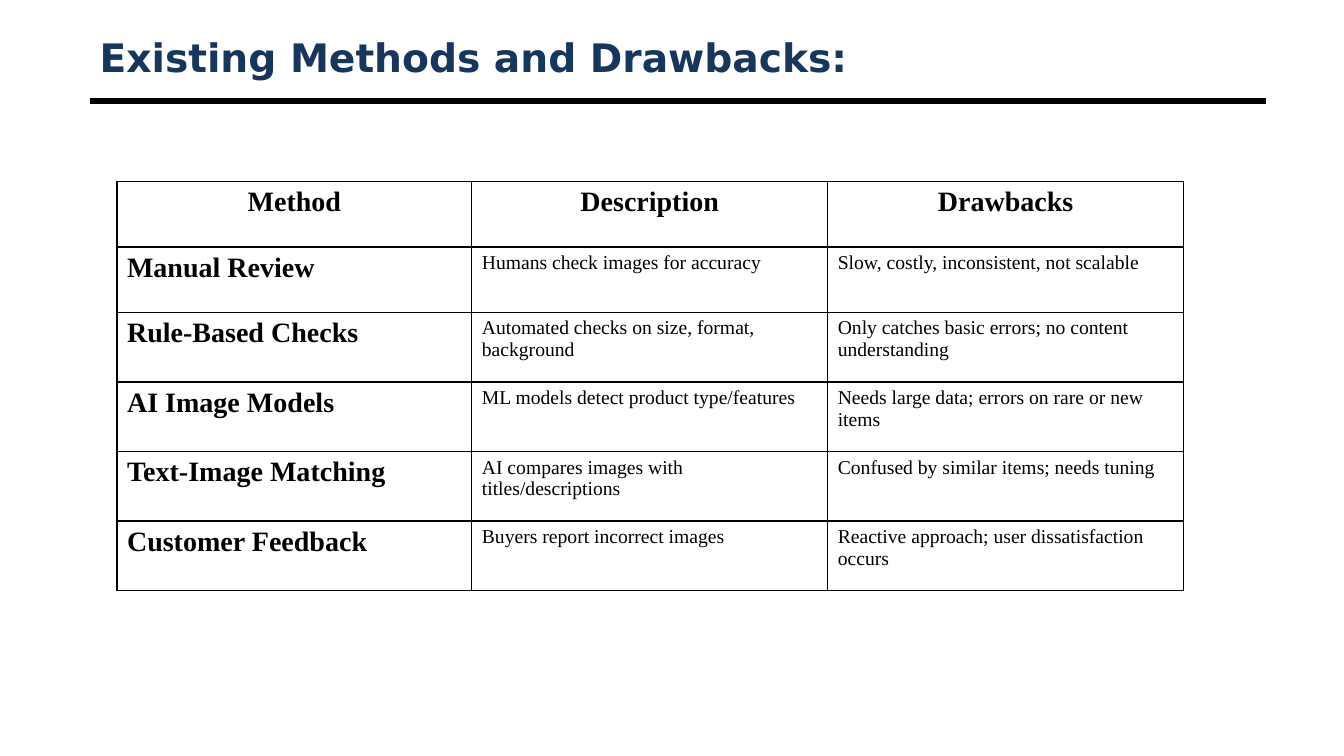
from lxml import etree
from pptx import Presentation
from pptx.dml.color import RGBColor
from pptx.enum.shapes import MSO_CONNECTOR
from pptx.enum.text import MSO_ANCHOR, PP_ALIGN
from pptx.oxml.ns import qn
from pptx.util import Inches, Pt

STRAIGHT = MSO_CONNECTOR.STRAIGHT
MIDDLE = MSO_ANCHOR.MIDDLE
LEFT, CENTER = PP_ALIGN.LEFT, PP_ALIGN.CENTER

BLACK = RGBColor(0x00, 0x00, 0x00)
NAVY = RGBColor(0x17, 0x36, 0x5D)

TITLE = {"name": "DejaVu Sans", "size": Pt(28), "bold": True, "color": NAVY}
HEADING = {"name": "Times New Roman", "size": Pt(20), "bold": True, "color": BLACK}
BODY = {**HEADING, "size": Pt(14), "bold": False}

METHODS = [
    ("Method", "Description", "Drawbacks"),
    ("Manual Review", "Humans check images for accuracy",
     "Slow, costly, inconsistent, not scalable"),
    ("Rule-Based Checks", "Automated checks on size, format, background",
     "Only catches basic errors; no content understanding"),
    ("AI Image Models", "ML models detect product type/features",
     "Needs large data; errors on rare or new items"),
    ("Text-Image Matching", "AI compares images with titles/descriptions",
     "Confused by similar items; needs tuning"),
    ("Customer Feedback", "Buyers report incorrect images",
     "Reactive approach; user dissatisfaction occurs"),
]
COL_WIDTHS = [3.52, 3.53, 3.53]
ROW_HEIGHTS = [0.65] * 2 + [0.69] * 4


class SlideBuilder:
    def __init__(self, slide):
        self.s = slide

    def add_text(self, tf, text, style, align=LEFT):
        p = tf.paragraphs[0]
        p.alignment = align
        r = p.add_run()
        r.text = text
        for key, value in style.items():
            if key == "color":
                r.font.color.rgb = value
            else:
                setattr(r.font, key, value)

    def title(self, text, left, top, width, height):
        sp = self.s.shapes.add_textbox(*map(Inches, (left, top, width, height)))
        tf = sp.text_frame
        tf.word_wrap = True
        tf.vertical_anchor = MIDDLE
        self.add_text(tf, text, TITLE)

    def rule(self, left, right, y, weight):
        """Draw a horizontal black line."""
        line = self.s.shapes.add_connector(
            STRAIGHT, Inches(left), Inches(y), Inches(right), Inches(y))
        line.line.color.rgb = BLACK
        line.line.width = Pt(weight)
        etree.SubElement(line._element.spPr, qn("a:effectLst"))

    def borders(self, cell, weight=1):
        tc_pr = cell._tc.get_or_add_tcPr()
        for side in ("L", "R", "T", "B"):
            ln = etree.SubElement(tc_pr, qn(f"a:ln{side}"), w=str(Pt(weight)))
            fill = etree.SubElement(ln, qn("a:solidFill"))
            etree.SubElement(fill, qn("a:srgbClr"), val=str(BLACK))

    def table(self, rows, left, top, widths, heights):
        """Draw a ruled table with a heading row and a heading column."""
        table = self.s.shapes.add_table(
            len(rows), len(widths), Inches(left), Inches(top),
            Inches(sum(widths)), Inches(sum(heights))).table
        table.first_row = table.horz_banding = False
        for column, width in zip(table.columns, widths):
            column.width = Inches(width)
        for i, (row, height) in enumerate(zip(rows, heights)):
            table.rows[i].height = Inches(height)
            for j, text in enumerate(row):
                cell = table.cell(i, j)
                self.borders(cell)
                cell.fill.background()
                style = HEADING if i == 0 or j == 0 else BODY
                self.add_text(cell.text_frame, text, style, CENTER if i == 0 else LEFT)


def main():
    prs = Presentation()
    prs.slide_width, prs.slide_height = Inches(13.33), Inches(7.5)
    slide = SlideBuilder(prs.slides.add_slide(prs.slide_layouts[6]))
    slide.rule(0.89, 12.56, 1, 4.5)
    slide.title("Existing Methods and Drawbacks:", 0.89, 0.3, 11.67, 0.53)
    slide.table(METHODS, 1.16, 1.8, COL_WIDTHS, ROW_HEIGHTS)
    prs.save("out.pptx")


if __name__ == "__main__":
    main()
